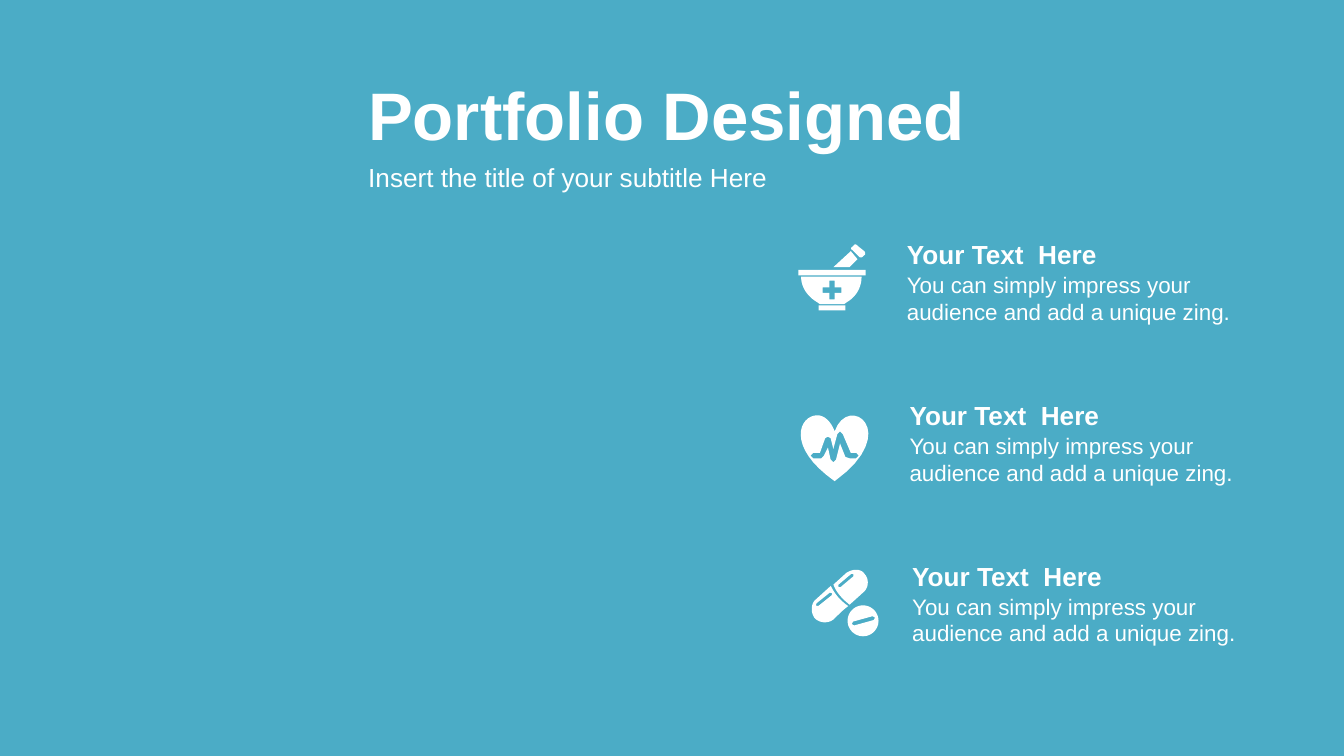
from math import cos, hypot, pi, sin

from pptx import Presentation
from pptx.dml.color import RGBColor
from pptx.enum.text import MSO_ANCHOR as Anchor
from pptx.util import Cm, Pt

TEAL = RGBColor(0x4B, 0xAC, 0xC6)
WHITE = RGBColor(0xFF, 0xFF, 0xFF)
ICON_UNIT = 1.27 / 50  # cm; every icon is drawn on a 50-unit grid


def trace(*steps):
    """Points of an outline: 2 numbers are a corner, 6 a Bezier curve."""
    points = []
    for step in steps:
        if len(step) == 2:
            points.append(step)
            continue
        x0, y0 = points[-1]
        x1, y1, x2, y2, x3, y3 = step
        for t in (n / 16 for n in range(1, 17)):
            a, b, c, d = (1 - t) ** 3, 3 * t * (1 - t) ** 2, 3 * t * t * (1 - t), t ** 3
            points.append((a * x0 + b * x1 + c * x2 + d * x3,
                           a * y0 + b * y1 + c * y2 + d * y3))
    return points


def bar(left, top, right, bottom):
    return [(left, top), (right, top), (right, bottom), (left, bottom)]


def circle(x, y, radius):
    return [(x + radius * cos(n * pi / 24), y + radius * sin(n * pi / 24)) for n in range(48)]


def slot(x1, y1, x2, y2, radius):
    """Outline of a straight stroke with pointed-round ends."""
    length = hypot(x2 - x1, y2 - y1)
    ux, uy = (x2 - x1) / length * radius, (y2 - y1) / length * radius
    return [(x1 - uy, y1 + ux), (x1 - ux, y1 - uy), (x1 + uy, y1 - ux),
            (x2 + uy, y2 - ux), (x2 + ux, y2 + uy), (x2 - uy, y2 + ux)]


MORTAR = [
    bar(15, 45.3, 35, 49),  # foot
    trace((2, 24), (47, 24), (47, 32, 43, 39, 36, 43), (34, 44.5), (16, 44.5),
          (14, 43), (7, 39, 2, 32, 2, 24)),
    [(23, 27), (23, 32), (18, 32), (18, 36), (23, 36), (23, 41),
     (27, 41), (27, 36), (32, 36), (32, 32), (27, 32), (27, 27)],  # cross
    bar(0, 19, 50, 23),  # rim
    [(39, 5), (44, 11), (38, 17), (26, 17)],  # pestle
    trace((42, 0), (43, 0, 43, 0, 44, 1), (49, 5), (50, 6, 50, 8, 49, 8), (48, 9),
          (47, 10, 46, 10, 45, 9), (40, 4), (39, 4, 39, 2, 40, 2), (41, 1)),
]
HEART = [
    trace((12, 0), (17, 0, 22, 4, 25, 12), (35, -17, 76, 12, 25, 49),
          (-12, 23, -1, 0, 12, 0)),
    [(29, 12), (27, 14), (24, 25), (22, 17), (20, 16), (18, 17), (14, 28), (9, 28),
     (7, 30), (9, 32), (15, 32), (17, 30), (20, 24), (22, 33), (24, 35), (26, 33),
     (29, 21), (33, 31), (36, 32), (41, 32), (43, 30), (41, 28), (37, 28), (31, 14)],
]
PILLS = [
    circle(39, 38, 11.5),
    slot(32, 40, 46.5, 36, 1.5),
    trace((15, 12), (18, 18, 22, 23, 28, 27), (24, 30, 21, 33, 17, 37),
          (13, 40, 7, 40, 3, 36), (0, 32, 0, 25, 4, 22)),
    slot(5, 26, 15, 18, 1.2),
    trace((34, 0), (36, 0, 39, 1, 40, 3), (44, 7, 43, 14, 39, 17), (29, 26),
          (24, 22, 19, 17, 17, 11), (27, 2), (29, 1, 31, 0, 34, 0)),
    slot(21.5, 12, 31, 4, 1.2),
]


class Deck:
    font = "Arial"
    color = WHITE

    def __init__(self, width, height):
        self.file = Presentation()
        self.file.slide_width, self.file.slide_height = Cm(width), Cm(height)

    def add_slide(self, background):
        self.slide = self.file.slides.add_slide(self.file.slide_layouts[6])
        fill = self.slide.background.fill
        fill.solid()
        fill.fore_color.rgb = background

    def text(self, words, left, top, width, height, size, bold=False, anchor=Anchor.TOP):
        box = self.slide.shapes.add_textbox(Cm(left), Cm(top), Cm(width), Cm(height))
        frame = box.text_frame
        frame.word_wrap = True
        frame.vertical_anchor = anchor
        run = frame.paragraphs[0].add_run()
        run.text = words
        run.font.name, run.font.size, run.font.bold = self.font, Pt(size), bold
        run.font.color.rgb = self.color

    def icon(self, outlines, left, top):
        def place(point):
            return Cm(left + point[0] * ICON_UNIT), Cm(top + point[1] * ICON_UNIT)

        pen = self.slide.shapes.build_freeform(*place(outlines[0][0]))
        for number, outline in enumerate(outlines):
            start, *others = [place(point) for point in outline]
            if number:
                pen.move_to(*start)
            pen.add_line_segments(others, close=True)
        shape = pen.convert_to_shape()
        shape.shadow.inherit = False
        shape.fill.solid()
        shape.fill.fore_color.rgb = self.color
        shape.line.fill.background()


def main():
    deck = Deck(25.4, 14.29)
    deck.add_slide(TEAL)

    # Title and subtitle
    deck.text("Portfolio Designed", 6.71, 1.35, 18.69, 1.6, 36, True, Anchor.MIDDLE)
    deck.text("Insert the title of your subtitle Here", 6.71, 2.95, 18.69, 0.79, 14,
              anchor=Anchor.MIDDLE)

    # Three points, each a little further right, with its icon
    points = [(MORTAR, 15.09, 4.62), (HEART, 15.14, 7.85), (PILLS, 15.32, 10.77)]
    for row, (outlines, icon_left, icon_top) in enumerate(points):
        left, top = 16.89 + 0.05 * row, 4.39 + 3.04 * row
        deck.text("You can simply impress your audience and add a unique zing.",
                  left, top + 0.61, 7.19, 1.27, 12)
        deck.text("Your Text  Here", left, top, 7.19, 0.86, 14, True)
        deck.icon(outlines, icon_left, icon_top)

    deck.file.save("out.pptx")


if __name__ == "__main__":
    main()
